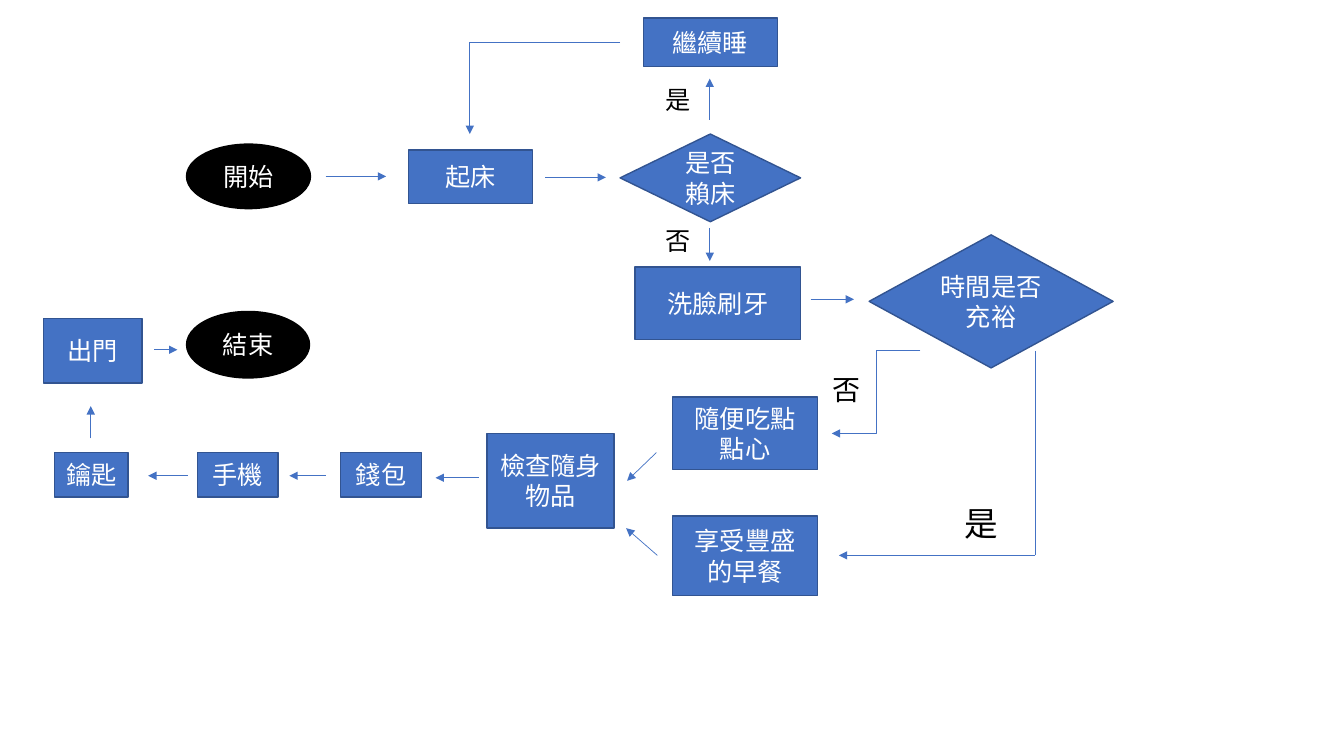
from lxml import etree
from pptx import Presentation
from pptx.dml.color import RGBColor
from pptx.enum import shapes, text
from pptx.oxml import ns
from pptx.util import Inches, Pt

COLORS = {"blue": "4472C4", "border": "325491", "black": "000000", "white": "FFFFFF"}
FONT = "Calibri"
KIND = shapes.MSO_SHAPE
# Shape, fill and outline of each kind of step
STEP_STYLES = {
    "terminal": (KIND.OVAL, "black", "black"),
    "process": (KIND.RECTANGLE, "blue", "border"),
    "decision": (KIND.FLOWCHART_DECISION, "blue", "border"),
}


def color(name):
    return RGBColor.from_string(COLORS[name])


def write(shape, words, size, color_name, frame_format, alignment):
    frame = shape.text_frame
    for name, value in frame_format.items():
        setattr(frame, name, value)
    paragraph = frame.paragraphs[0]
    paragraph.alignment = alignment
    run = paragraph.add_run()
    run.text = words
    for name, value in {"size": Pt(size), "name": FONT}.items():
        setattr(run.font, name, value)
    run.font.color.rgb = color(color_name)


presentation = Presentation()
presentation.slide_width = Inches(13.33)
presentation.slide_height = Inches(7.5)
slide = presentation.slides.add_slide(presentation.slide_layouts[6])

# Steps: kind, words, left, top, width, height
steps = [
    ("terminal", "開始", 1.85, 1.43, 1.23, 0.64),
    ("process", "起床", 4.05, 1.49, 1.23, 0.53),
    ("decision", "是否賴床", 6.15, 1.33, 1.79, 0.87),
    ("process", "繼續睡", 6.38, 0.18, 1.33, 0.48),
    ("process", "洗臉刷牙", 6.3, 2.65, 1.64, 0.72),
    ("decision", "時間是否充裕", 8.62, 2.33, 2.42, 1.32),
    ("process", "享受豐盛的早餐", 6.67, 5.12, 1.44, 0.79),
    ("process", "隨便吃點點心", 6.67, 3.94, 1.44, 0.72),
    ("process", "檢查隨身物品", 4.83, 4.3, 1.26, 0.94),
    ("process", "錢包", 3.38, 4.49, 0.8, 0.44),
    ("process", "手機", 1.96, 4.49, 0.8, 0.44),
    ("process", "鑰匙", 0.54, 4.49, 0.73, 0.44),
    ("process", "出門", 0.43, 3.16, 0.98, 0.64),
    ("terminal", "結束", 1.85, 3.09, 1.22, 0.66),
]
step_format = {"word_wrap": True, "vertical_anchor": text.MSO_ANCHOR.MIDDLE}
for kind, words, *box in steps:
    preset, fill, border = STEP_STYLES[kind]
    shape = slide.shapes.add_shape(preset, *map(Inches, box))
    shape.shadow.inherit = False
    shape.fill.solid()
    shape.fill.fore_color.rgb = color(fill)
    shape.line.color.rgb = color(border)
    shape.line.width = Pt(1)
    write(shape, words, 18, "white", step_format, text.PP_ALIGN.CENTER)

# Yes and no labels: words, size, left, top, width, height
labels = [
    ("是", 18, 6.5, 0.79, 0.32, 0.4),
    ("否", 18, 6.5, 2.19, 0.36, 0.4),
    ("否", 20, 8.16, 3.65, 1, 0.44),
    ("是", 24, 9.47, 4.94, 1, 0.5),
]
label_format = {"word_wrap": True, "auto_size": text.MSO_AUTO_SIZE.SHAPE_TO_FIT_TEXT}
for words, size, *box in labels:
    label = slide.shapes.add_textbox(*map(Inches, box))
    write(label, words, size, "black", label_format, text.PP_ALIGN.LEFT)

# Flow lines: from x, from y, to x, to y
straight, elbow = shapes.MSO_CONNECTOR.STRAIGHT, shapes.MSO_CONNECTOR.ELBOW
arrows = [
    (3.23, 1.75, 3.83, 1.75),
    (5.41, 1.76, 6.01, 1.76),
    (7.04, 1.19, 7.04, 0.78),
    (4.66, 0.42, 4.66, 1.33),
    (7.04, 2.26, 7.04, 2.59),
    (8.04, 2.97, 8.47, 2.97),
    (10.27, 5.51, 8.32, 5.51),
    (6.51, 4.49, 6.22, 4.77),
    (6.52, 5.51, 6.21, 5.24),
    (4.75, 4.74, 4.32, 4.74),
    (3.23, 4.72, 2.87, 4.72),
    (1.86, 4.72, 1.47, 4.72),
    (0.9, 4.35, 0.9, 4.03),
    (1.53, 3.47, 1.76, 3.47),
]
plain_lines = [(6.15, 0.42, 4.66, 0.42), (10.27, 3.48, 10.27, 5.51)]
flows = [(straight, True, ends) for ends in arrows]
flows += [(straight, False, ends) for ends in plain_lines]
flows.append((elbow, True, (9.13, 3.48, 8.25, 4.3)))
for kind, has_head, ends in flows:
    connector = slide.shapes.add_connector(kind, *map(Inches, ends))
    connector.line.color.rgb = color("blue")
    connector.line.width = Pt(0.5)
    properties = connector._element.spPr
    if has_head:
        outline = properties.find(ns.qn("a:ln"))
        etree.SubElement(outline, ns.qn("a:tailEnd"), type="triangle")
    etree.SubElement(properties, ns.qn("a:effectLst"))

presentation.save("out.pptx")
